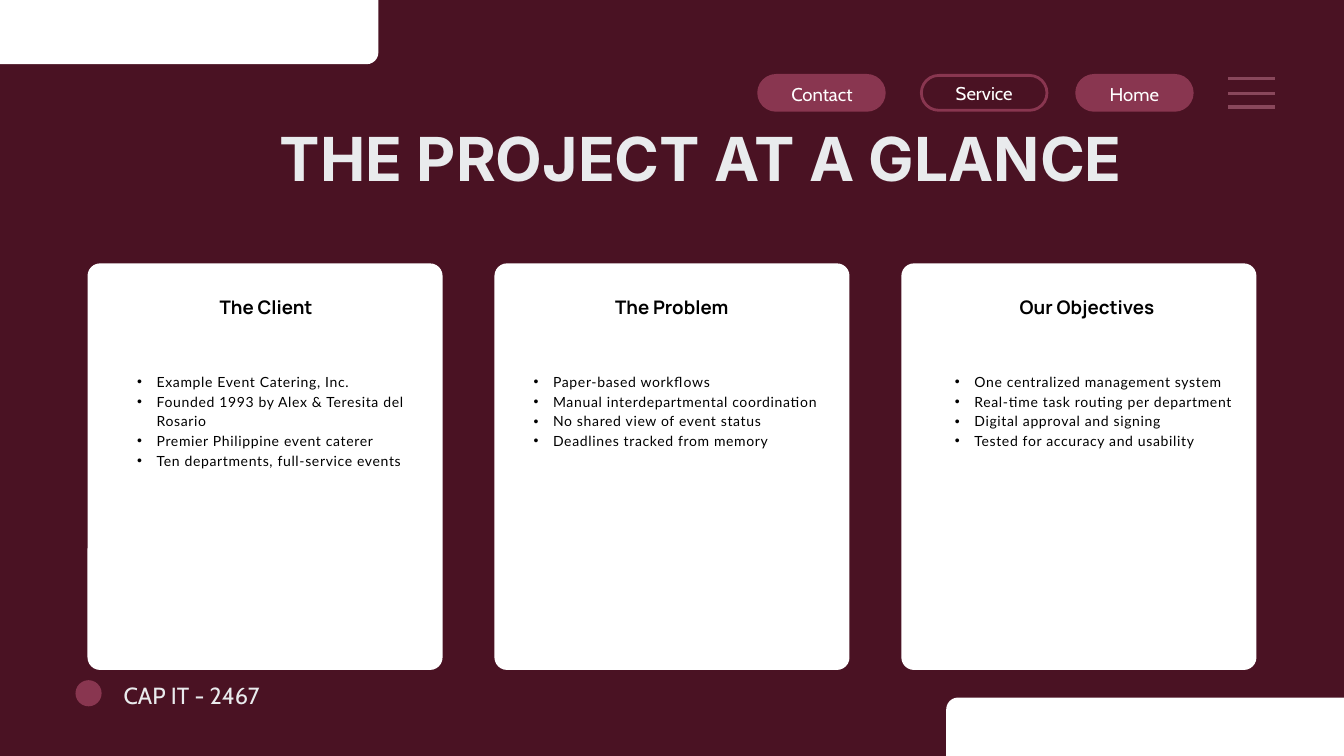
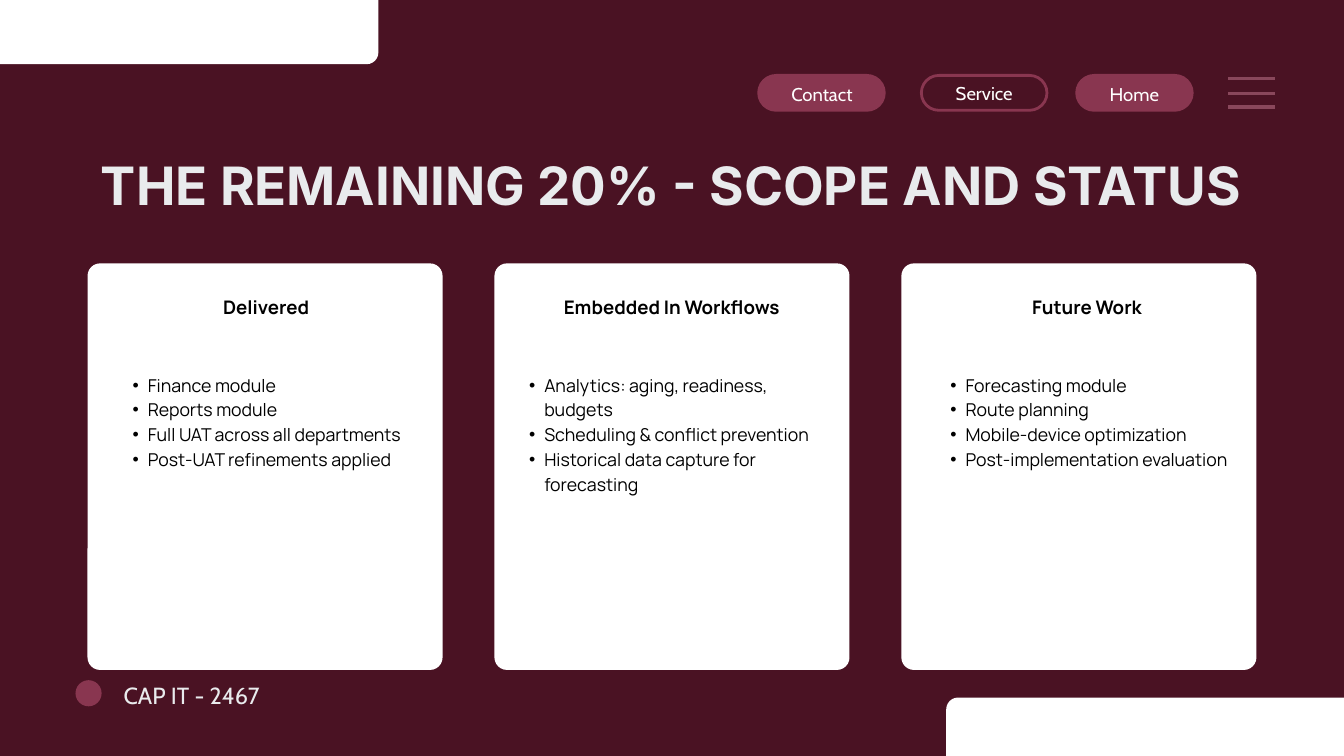
from dataclasses import dataclass
from lxml.etree import SubElement
from pptx import Presentation
from pptx.dml.color import RGBColor
from pptx.enum.shapes import MSO_CONNECTOR, MSO_SHAPE
from pptx.enum.text import MSO_AUTO_SIZE, PP_ALIGN
from pptx.oxml.ns import qn
from pptx.util import Pt


@dataclass(frozen=True)
class Theme:
    wine: RGBColor = RGBColor.from_string("4A1223")
    berry: RGBColor = RGBColor.from_string("893650")
    rose: RGBColor = RGBColor.from_string("89475B")
    mist: RGBColor = RGBColor.from_string("E9EBED")
    white: RGBColor = RGBColor.from_string("FFFFFF")
    black: RGBColor = RGBColor.from_string("000000")
    title_font: str = "Inter"
    heading_font: str = "Manrope"
    label_font: str = "Cabin"
    button_size: float = 19.8
    heading_size: float = 20
    footer_size: float = 25


theme = Theme()


def add_text(page, lines, left, top, width, height, *, font, size, color, leading,
             bold=False, align=PP_ALIGN.LEFT, bullet_indent=0, tracking=0):
    """Write one paragraph per line; bullet_indent turns the lines into bullets."""
    box = page.shapes.add_textbox(Pt(left), Pt(top), Pt(width), Pt(height))
    frame = box.text_frame
    frame.margin_left = frame.margin_top = frame.margin_right = frame.margin_bottom = 0
    frame.word_wrap = True
    frame.auto_size = MSO_AUTO_SIZE.SHAPE_TO_FIT_TEXT
    for index, line in enumerate(lines):
        para = frame.add_paragraph() if index else frame.paragraphs[0]
        para.alignment = align
        para.line_spacing = Pt(leading)
        if bullet_indent:
            properties = para._p.get_or_add_pPr()
            properties.set("marL", str(Pt(2 * bullet_indent)))
            properties.set("indent", str(-Pt(bullet_indent)))
            SubElement(properties, qn("a:buFont"), typeface="Arial")
            SubElement(properties, qn("a:buChar"), char="•")
        span = para.add_run()
        span.text = line
        span.font.name = font
        span.font.size = Pt(size)
        span.font.bold = bold
        span.font.color.rgb = color
        if tracking:
            span._r.get_or_add_rPr().set("spc", str(round(tracking * 100)))


def add_block(page, kind, left, top, width, height, *, fill=None, line=None, radius=None):
    """Draw a flat shape; radius is the corner radius in points."""
    block = page.shapes.add_shape(kind, Pt(left), Pt(top), Pt(width), Pt(height))
    block.shadow.inherit = False
    if radius is not None:
        block.adjustments[0] = radius / min(width, height)
    if fill is None:
        block.fill.background()
    else:
        block.fill.solid()
        block.fill.fore_color.rgb = fill
    if line is None:
        block.line.fill.background()
    else:
        block.line.color.rgb = line
        block.line.width = Pt(3)


# Page grid
page_width, page_height = 1440, 810
card_left, card_top, card_width, card_height = 93.8, 282.2, 380.4, 435.6
card_step = (page_width - 2 * card_left - card_width) / 2
panel_width, panel_height = 754.6, 189.4
panel_corners = [(-349.2, -120.6), (1013.8, 747.4)]

# Navigation: label, pill left, pill width, fill, text left, text top, text width
buttons = [
    ("Home", 1153.6, 123.8, theme.berry, 1161.4, 85, 108),
    ("Service", 987.2, 134.6, None, 994.4, 83.6, 120.2),
    ("Contact", 812.9, 134.6, theme.berry, 824.4, 85, 112.4),
]

# Text columns inside the cards: left, width
heading_columns = [(161.3, 247.7), (556.6, 326.2), (1013.8, 301.7)]
bullet_columns = [(126, 318.2), (550.8, 338.4), (1002.2, 318.2)]

slides = [
    {
        "title": "THE PROJECT AT A GLANCE",
        "title_place": (80.6, 139, 1342.1, 67.7),
        "title_style": {"size": 65, "leading": 68.2},
        "heading_height": 28.8,
        "bullet_style": {"font": "Lato", "size": 15, "leading": 21,
                         "bullet_indent": 20.9, "tracking": 0.7},
        "bullet_heights": [267.8, 267.8, 267.8],
        "cards": [
            ("The Client", ["Example Event Catering, Inc.",
                            "Founded 1993 by Alex & Teresita del Rosario",
                            "Premier Philippine event caterer",
                            "Ten departments, full-service events"]),
            ("The Problem", ["Paper-based workflows",
                             "Manual interdepartmental coordination",
                             "No shared view of event status",
                             "Deadlines tracked from memory"]),
            ("Our Objectives", ["One centralized management system",
                                "Real-time task routing per department",
                                "Digital approval and signing",
                                "Tested for accuracy and usability"]),
        ],
    },
    {
        "title": "THE REMAINING 20% - SCOPE AND STATUS",
        "title_place": (100.1, 175, 1239.1, 59),
        "title_style": {"size": 56.6, "leading": 56.6},
        "heading_height": 56.9,
        "bullet_style": {"font": theme.heading_font, "size": 19, "leading": 26.6,
                         "bullet_indent": 16.2},
        "bullet_heights": [158.4, 184.3, 158.4],
        "cards": [
            ("Delivered", ["Finance module",
                           "Reports module",
                           "Full UAT across all departments",
                           "Post-UAT refinements applied"]),
            ("Embedded In Workflows", ["Analytics: aging, readiness, budgets",
                                       "Scheduling & conflict prevention",
                                       "Historical data capture for forecasting"]),
            ("Future Work", ["Forecasting module",
                             "Route planning",
                             "Mobile-device optimization",
                             "Post-implementation evaluation"]),
        ],
    },
]

deck = Presentation()
deck.slide_width, deck.slide_height = Pt(page_width), Pt(page_height)

for content in slides:
    page = deck.slides.add_slide(deck.slide_layouts[6])
    page.background.fill.solid()
    page.background.fill.fore_color.rgb = theme.wine

    # Corner panels
    for left, top in panel_corners:
        add_block(page, MSO_SHAPE.ROUNDED_RECTANGLE, left, top, panel_width, panel_height,
                  fill=theme.white, radius=12.6)

    # Navigation buttons
    for label, left, width, fill, text_left, text_top, text_width in buttons:
        add_block(page, MSO_SHAPE.ROUNDED_RECTANGLE, left, 80.8, width, 37.4,
                  fill=fill, line=theme.berry, radius=18.7)
        add_text(page, [label], text_left, text_top, text_width, 26.6,
                 font=theme.label_font, size=theme.button_size, color=theme.white,
                 leading=27.8, align=PP_ALIGN.CENTER)

    # Menu icon
    for level in (84.2, 100.1, 114.5):
        bar = page.shapes.add_connector(MSO_CONNECTOR.STRAIGHT, Pt(1316.2), Pt(level),
                                        Pt(1366), Pt(level))
        bar.line.color.rgb = theme.rose
        bar.line.width = Pt(4)
        SubElement(bar._element.spPr, qn("a:effectLst"))

    # Title
    add_text(page, [content["title"]], *content["title_place"], font=theme.title_font,
             color=theme.mist, bold=True, align=PP_ALIGN.CENTER, **content["title_style"])

    # Cards
    for index, (heading, points) in enumerate(content["cards"]):
        add_block(page, MSO_SHAPE.ROUNDED_RECTANGLE, card_left + index * card_step, card_top,
                  card_width, card_height, fill=theme.white, radius=13.4)
        left, width = heading_columns[index]
        add_text(page, [heading], left, 312.5, width, content["heading_height"],
                 font=theme.heading_font, size=theme.heading_size, color=theme.black,
                 leading=28, bold=True, align=PP_ALIGN.CENTER)
        left, width = bullet_columns[index]
        add_text(page, points, left, 397.4, width, content["bullet_heights"][index],
                 color=theme.black, **content["bullet_style"])

    # Footer
    add_block(page, MSO_SHAPE.OVAL, 80.9, 728.8, 28, 28, fill=theme.berry)
    add_text(page, ["CAP IT - 2467"], 132.5, 725, 371.5, 33.1, font=theme.label_font,
             size=theme.footer_size, color=theme.mist, leading=35)

deck.save("out.pptx")
